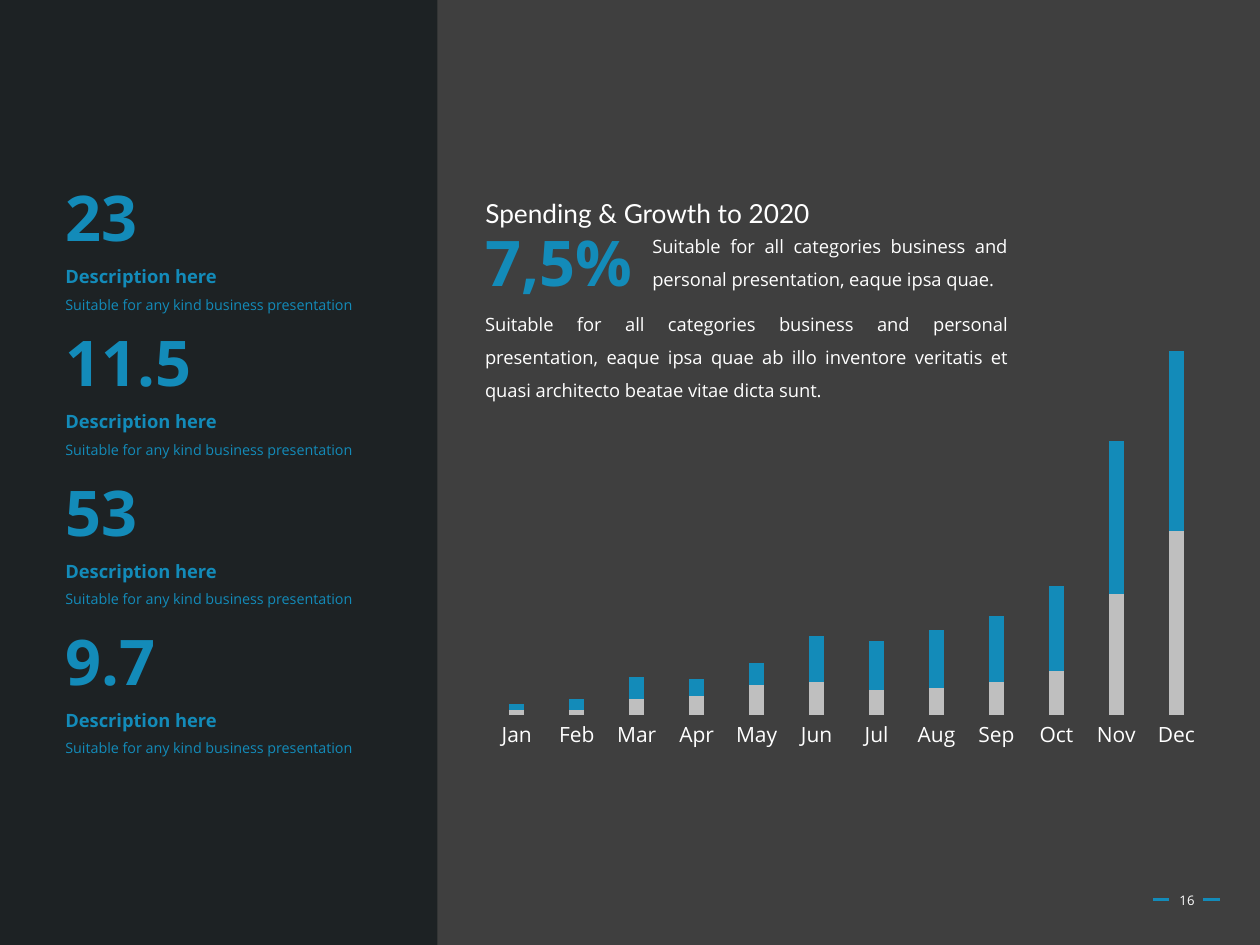
from lxml import etree
from pptx import Presentation
from pptx import util as u
from pptx.chart.data import CategoryChartData
from pptx.dml.color import RGBColor
from pptx.enum import chart as charts, shapes, text
from pptx.oxml import parse_xml
from pptx.oxml.ns import nsdecls, qn

BLUE = RGBColor(0x13, 0x8B, 0xB9)
WHITE = RGBColor(0xFF, 0xFF, 0xFF)
SILVER = RGBColor(0xBF, 0xBF, 0xBF)
GREY = RGBColor(0x3F, 0x3F, 0x3F)
INK = RGBColor(0x18, 0x1E, 0x20)

MONTHS = ["Jan", "Feb", "Mar", "Apr", "May", "Jun",
          "Jul", "Aug", "Sep", "Oct", "Nov", "Dec"]
SERIES = [
    ("Series 1", SILVER, (2, 2, 6, 7, 11, 12, 9, 10, 12, 16, 44, 67)),
    ("Series 2", BLUE, (2, 4, 8, 6, 8, 17, 18, 21, 24, 31, 56, 100)),
]
STATS = [("23", 3.48), ("11.5", 6.4), ("53", 9.42), ("9.7", 12.42)]
SUMMARY = "Suitable for all categories business and personal presentation, eaque ipsa quae."
DETAIL = ("Suitable for all categories business and personal presentation, eaque ipsa quae "
          "ab illo inventore veritatis et quasi architecto beatae vitae dicta sunt.")


def area(left, top, width, height):
    return [u.Cm(length) for length in (left, top, width, height)]


class SlideBuilder:
    font_name = "Open Sans"

    def __init__(self, page):
        self.page = page

    def background(self, color):
        fill = self.page.background.fill
        fill.solid()
        fill.fore_color.rgb = color

    def style(self, font, size, color, bold=False, name=None):
        font.name = name or self.font_name
        font.size = u.Pt(size)
        font.color.rgb = color
        font.bold = bold

    def set_para(self, para, words, size, color, bold=False, name=None,
                 spacing=None, align=text.PP_ALIGN.LEFT):
        para.text = words
        para.alignment = align
        if spacing:
            para.line_spacing = spacing
        self.style(para.font, size, color, bold, name)

    def title(self, words, place):
        box = self.page.shapes.title
        box.left, box.top, box.width, box.height = area(*place)
        frame = box.text_frame
        frame.vertical_anchor = text.MSO_ANCHOR.TOP
        frame.auto_size = text.MSO_AUTO_SIZE.SHAPE_TO_FIT_TEXT
        self.set_para(frame.paragraphs[0], words, 15, WHITE, name="Lato",
                      spacing=1.5, align=text.PP_ALIGN.JUSTIFY)

    def panel(self, place, color, opacity):
        box = self.page.shapes.add_shape(shapes.MSO_SHAPE.RECTANGLE, *area(*place))
        box.shadow.inherit = False
        box.line.fill.background()
        box.fill.solid()
        box.fill.fore_color.rgb = color
        tint = box._element.spPr.find(".//" + qn("a:srgbClr"))
        etree.SubElement(tint, qn("a:alpha"), val=str(opacity * 1000))

    def frame(self, place, wrap=True):
        box = self.page.shapes.add_textbox(*area(*place))
        box.text_frame.word_wrap = wrap
        box.text_frame.auto_size = text.MSO_AUTO_SIZE.SHAPE_TO_FIT_TEXT
        return box.text_frame

    def body(self, words, place):
        self.set_para(self.frame(place).paragraphs[0], words, 10.5, WHITE,
                      spacing=1.5, align=text.PP_ALIGN.JUSTIFY)

    def figure(self, words, place):
        frame = self.frame(place, wrap=False)
        self.set_para(frame.paragraphs[0], words, 36, BLUE, bold=True)
        return frame

    def stat(self, value, top):
        frame = self.figure(value, (1.07, top, 6.43, 3))
        self.set_para(frame.add_paragraph(), "Description here", 10.5, BLUE,
                      bold=True, spacing=1.5)
        self.set_para(frame.add_paragraph(), "Suitable for any kind business presentation",
                      8.2, BLUE, spacing=1.5)

    def dash(self, left, top, width):
        line = self.page.shapes.add_connector(
            shapes.MSO_CONNECTOR.STRAIGHT,
            u.Cm(left), u.Cm(top), u.Cm(left + width), u.Cm(top))
        line.line.color.rgb = BLUE
        line.line.width = u.Pt(1.75)
        etree.SubElement(line._element.spPr, qn("a:effectLst"))

    def page_number(self, number):
        for left in (23.24, 24.26):
            self.dash(left, 18.13, 0.33)
        frame = self.frame((23.37, 17.63, 1.12, 1.02))
        frame.auto_size = text.MSO_AUTO_SIZE.NONE
        frame.vertical_anchor = text.MSO_ANCHOR.MIDDLE
        self.set_para(frame.paragraphs[0], number, 7.5, WHITE, align=text.PP_ALIGN.CENTER)

    def stacked_columns(self, categories, series, place, plot_area, maximum):
        data = CategoryChartData()
        data.categories = categories
        for name, _, values in series:
            data.add_series(name, values)
        chart = self.page.shapes.add_chart(
            charts.XL_CHART_TYPE.COLUMN_STACKED, *area(*place), data).chart
        chart.has_legend = False
        chart.has_title = False
        self.style(chart.font, 12, WHITE)

        plot = chart.plots[0]
        plot.gap_width = 300
        plot.overlap = 100
        plot.vary_by_categories = False
        for column, (_, color, _) in zip(plot.series, series):
            column.format.fill.solid()
            column.format.fill.fore_color.rgb = color

        months = chart.category_axis
        months.major_tick_mark = charts.XL_TICK_MARK.NONE
        months.format.line.fill.background()
        self.style(months.tick_labels.font, 12, WHITE)

        scale = chart.value_axis
        scale.minimum_scale = 0
        scale.maximum_scale = maximum
        scale.has_major_gridlines = False
        scale.visible = False
        self.place_plot(chart, plot_area)

    def place_plot(self, chart, plot_area):
        lengths = "".join(f'<c:{key} val="{value}"/>' for key, value in zip("xywh", plot_area))
        layout = parse_xml(
            f'<c:layout {nsdecls("c")}><c:manualLayout><c:layoutTarget val="inner"/>'
            f'<c:xMode val="edge"/><c:yMode val="edge"/>{lengths}'
            '</c:manualLayout></c:layout>')
        plot_element = chart._chartSpace.chart.plotArea
        for old in plot_element.findall(qn("c:layout")):
            plot_element.remove(old)
        plot_element.insert(0, layout)


def main():
    deck = Presentation()
    deck.slide_width, deck.slide_height = u.Cm(25.4), u.Cm(19.05)
    slide = SlideBuilder(deck.slides.add_slide(deck.slide_layouts[5]))
    slide.background(GREY)
    slide.title("Spending & Growth to 2020", (9.53, 3.53, 10.9, 1.22))
    slide.page_number("16")
    slide.panel((0, 0, 8.82, 19.05), INK, 85)
    slide.stacked_columns(MONTHS, SERIES, (8.71, 5.74, 15.77, 10.21),
                          (0.07, 0.13, 0.92, 0.72), 133)
    for value, top in STATS:
        slide.stat(value, top)
    slide.body(DETAIL, (9.53, 5.97, 11.05, 2.29))
    slide.figure("7,5%", (9.53, 4.39, 3.51, 1.8))
    slide.body(SUMMARY, (12.9, 4.39, 7.67, 1.6))
    deck.save("out.pptx")


if __name__ == "__main__":
    main()
